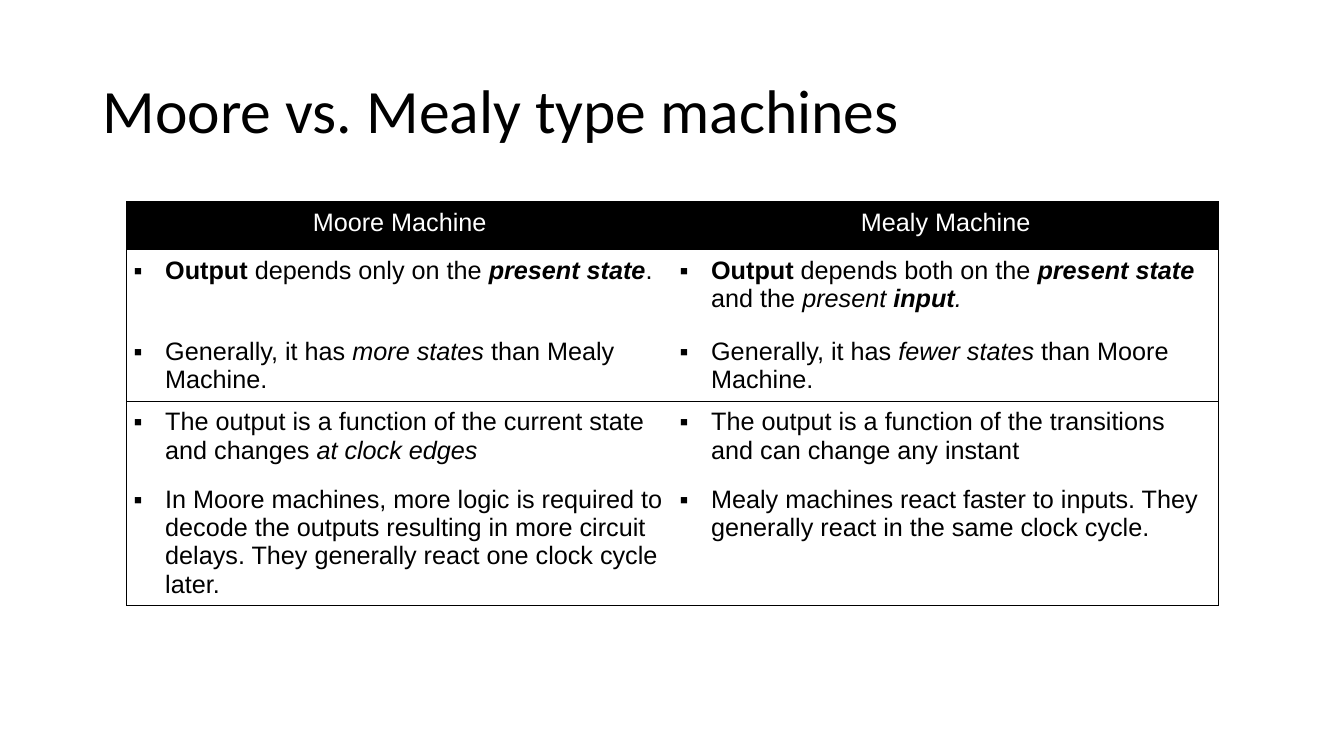
from dataclasses import dataclass

from pptx import Presentation
from pptx.dml.color import RGBColor
from pptx.enum.text import MSO_ANCHOR as Anchor, MSO_AUTO_SIZE as AutoSize, PP_ALIGN as Align
from pptx.oxml.ns import qn
from pptx.util import Pt
from lxml.etree import SubElement


@dataclass(frozen=True)
class Theme:
    ink: str = "000000"
    paper: str = "FFFFFF"
    title_font: str = "Calibri"
    body_font: str = "Arial"
    title_size: float = 44
    body_size: float = 18
    border: float = 0.75
    cell_margin: float = 5
    bullet_indent: float = 22.5


HEADINGS = ["Moore Machine", "Mealy Machine"]
COMPARISONS = [
    (
        [("Output ", "b"), ("depends only on the ", ""), ("present state", "bi"), (".", "")],
        [("Output", "b"), (" depends both on the ", ""), ("present state ", "bi"),
         ("and the ", ""), ("present ", "i"), ("input", "bi"), (".", "i")],
    ),
    (
        [("Generally, it has ", ""), ("more states", "i"), (" than Mealy Machine.", "")],
        [("Generally, it has ", ""), ("fewer states", "i"), (" than Moore Machine.", "")],
    ),
    (
        [("The output is a function of the current state and changes ", ""),
         ("at clock edges", "i")],
        [("The output is a function of the transitions and can change any instant", "")],
    ),
    (
        [("In Moore machines, more logic is required to decode the outputs resulting in "
          "more circuit delays. They generally react one clock cycle later.", "")],
        [("Mealy machines react faster to inputs. They generally react in the same "
          "clock cycle.", "")],
    ),
]
ROW_HEIGHTS = [34.5, 57.5, 50.5, 55.5, 89.5]
COLUMN_WIDTH = 390
RULED_ROWS = [0, 1, 3, 5]


class SlideBuilder:
    def __init__(self, slide, theme):
        self.slide = slide
        self.theme = theme

    def add_run(self, paragraph, text, font_name, size, color, style=""):
        run = paragraph.add_run()
        run.text = text
        font = run.font
        font.name, font.size = font_name, Pt(size)
        font.bold, font.italic = "b" in style, "i" in style
        font.color.rgb = RGBColor.from_string(color)

    def add_title(self, text, left, top, width, height):
        title = self.slide.shapes.title
        title.left, title.top = Pt(left), Pt(top)
        title.width, title.height = Pt(width), Pt(height)
        frame = title.text_frame
        frame.word_wrap = True
        frame.auto_size = AutoSize.NONE
        frame.vertical_anchor = Anchor.MIDDLE
        paragraph = frame.paragraphs[0]
        paragraph.alignment = Align.LEFT
        paragraph.line_spacing = 0.9
        self.add_run(paragraph, text, self.theme.title_font, self.theme.title_size, self.theme.ink)

    def add_bullet(self, paragraph):
        properties = paragraph._p.get_or_add_pPr()
        indent = Pt(self.theme.bullet_indent)
        properties.set("marL", str(indent))
        properties.set("indent", str(-indent))
        color = SubElement(properties, qn("a:buClr"))
        SubElement(color, qn("a:srgbClr"), val=self.theme.ink)
        SubElement(properties, qn("a:buFont"), typeface=self.theme.body_font)
        SubElement(properties, qn("a:buChar"), char="▪")

    def add_borders(self, cell, sides):
        properties = cell._tc.get_or_add_tcPr()
        for side in "LRTB":
            line = SubElement(properties, qn(f"a:ln{side}"), w=str(Pt(self.theme.border)))
            if side in sides:
                fill = SubElement(line, qn("a:solidFill"))
                SubElement(fill, qn("a:srgbClr"), val=self.theme.ink)
            else:
                SubElement(line, qn("a:noFill"))

    def fill_cell(self, cell, runs, sides, is_heading):
        theme = self.theme
        margin = Pt(theme.cell_margin)
        cell.margin_left = cell.margin_right = margin
        cell.margin_top = cell.margin_bottom = margin
        self.add_borders(cell, sides)
        paragraph = cell.text_frame.paragraphs[0]
        if is_heading:
            cell.fill.solid()
            cell.fill.fore_color.rgb = RGBColor.from_string(theme.ink)
            paragraph.alignment = Align.CENTER
        else:
            cell.fill.background()
            self.add_bullet(paragraph)
        color = theme.paper if is_heading else theme.ink
        for text, style in runs:
            self.add_run(paragraph, text, theme.body_font, theme.body_size, color, style)

    def add_comparison_table(self, headings, comparisons, left, top):
        rows = [[[(heading, "")] for heading in headings], *comparisons]
        count = len(headings)
        shape = self.slide.shapes.add_table(
            len(rows), count, Pt(left), Pt(top), Pt(COLUMN_WIDTH * count), Pt(sum(ROW_HEIGHTS)))
        table = shape.table
        table.first_row = table.horz_banding = False
        for column in table.columns:
            column.width = Pt(COLUMN_WIDTH)
        for row_index, row in enumerate(rows):
            table.rows[row_index].height = Pt(ROW_HEIGHTS[row_index])
            for column_index, runs in enumerate(row):
                sides = "L" if column_index == 0 else ""
                sides += "R" if column_index == count - 1 else ""
                sides += "T" if row_index in RULED_ROWS else ""
                sides += "B" if row_index + 1 in RULED_ROWS else ""
                self.fill_cell(table.cell(row_index, column_index), runs, sides, row_index == 0)


def main():
    presentation = Presentation()
    presentation.slide_width, presentation.slide_height = Pt(960), Pt(540)
    slide = presentation.slides.add_slide(presentation.slide_layouts[5])
    builder = SlideBuilder(slide, Theme())
    builder.add_title("Moore vs. Mealy type machines", 66, 28.75, 828, 104.5)
    builder.add_comparison_table(HEADINGS, COMPARISONS, 90.5, 144)
    presentation.save("out.pptx")


if __name__ == "__main__":
    main()
